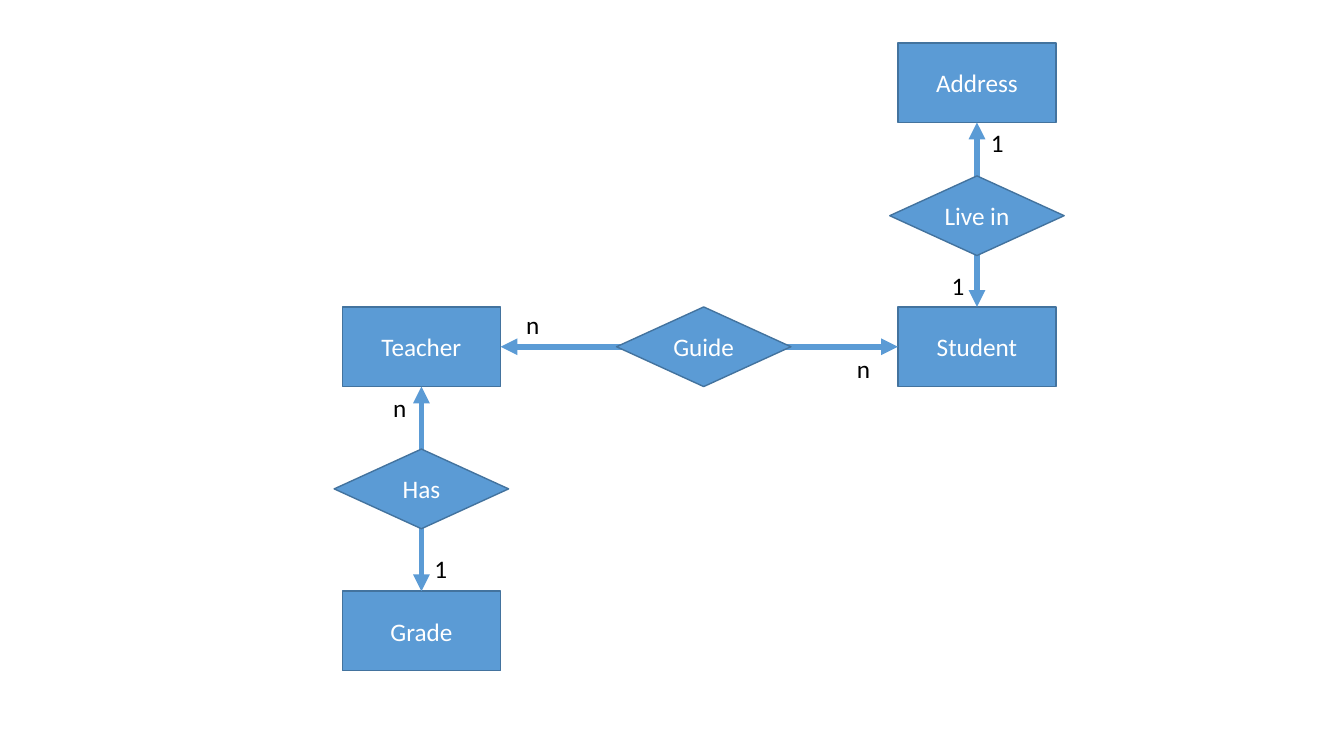
from lxml import etree
from pptx import Presentation
from pptx.dml.color import RGBColor
from pptx.enum.shapes import MSO_CONNECTOR, MSO_SHAPE
from pptx.enum.text import MSO_ANCHOR, MSO_AUTO_SIZE, PP_ALIGN
from pptx.oxml.ns import qn
from pptx.util import Inches, Pt

RECT, DIAMOND = MSO_SHAPE.RECTANGLE, MSO_SHAPE.FLOWCHART_DECISION
LINE = MSO_CONNECTOR.STRAIGHT
MIDDLE, CENTER, LEFT = MSO_ANCHOR.MIDDLE, PP_ALIGN.CENTER, PP_ALIGN.LEFT
GROW = MSO_AUTO_SIZE.SHAPE_TO_FIT_TEXT
TOP_SIDE, LEFT_SIDE, BOTTOM_SIDE, RIGHT_SIDE = range(4)

COLORS = {"fill": "5B9BD5", "edge": "43739E", "white": "FFFFFF", "black": "000000"}
TALL = 0.79
WIDE = {RECT: 1.57, DIAMOND: 1.73}

# Centres of the two columns and of the row they share
WEST, EAST, ROW = 4.18, 9.69, 3.44


class Diagram:
    def __init__(self, slide):
        self.shapes = slide.shapes

    def color(self, name):
        return RGBColor.from_string(COLORS[name])

    def set_text(self, shape, text, color, align):
        para = shape.text_frame.paragraphs[0]
        para.text = text
        para.alignment = align
        para.font.name = "Calibri"
        para.font.size = Pt(18)
        para.font.color.rgb = self.color(color)

    def node(self, kind, text, x, y):
        """Draw an entity or a relation centred on x, y."""
        wide = WIDE[kind]
        shape = self.shapes.add_shape(
            kind, Inches(x - wide / 2), Inches(y - TALL / 2), Inches(wide), Inches(TALL))
        shape.shadow.inherit = False
        shape.fill.solid()
        shape.fill.fore_color.rgb = self.color("fill")
        shape.line.color.rgb = self.color("edge")
        shape.line.width = Pt(1)
        shape.text_frame.vertical_anchor = MIDDLE
        self.set_text(shape, text, "white", CENTER)
        return shape

    def label(self, text, x, y, filled=False):
        box = self.shapes.add_textbox(Inches(x), Inches(y), Inches(0.33), Inches(0.4))
        box.text_frame.word_wrap = False
        box.text_frame.auto_size = GROW
        if filled:
            box.fill.solid()
            box.fill.fore_color.rgb = self.color("white")
        self.set_text(box, text, "black", LEFT)

    def link(self, start, side, end, other):
        """Join two entities with an arrow that points both ways."""
        arrow = self.shapes.add_connector(LINE, 0, 0, 0, 0)
        arrow.begin_connect(start, side)
        arrow.end_connect(end, other)
        arrow.line.color.rgb = self.color("fill")
        arrow.line.width = Pt(4)
        props = arrow.element.spPr
        line = props.find(qn("a:ln"))
        for tag in ("a:headEnd", "a:tailEnd"):
            etree.SubElement(line, qn(tag), type="triangle")
        etree.SubElement(props, qn("a:effectLst"))


def main():
    deck = Presentation()
    deck.slide_width, deck.slide_height = Inches(13.33), Inches(7.5)
    art = Diagram(deck.slides.add_slide(deck.slide_layouts[6]))

    art.label("1", 4.21, 5.44, filled=True)
    art.label("1", 9.73, 1.21)
    art.label("1", 9.34, 2.63, filled=True)

    student = art.node(RECT, "Student", EAST, ROW)
    address = art.node(RECT, "Address", EAST, 0.82)
    teacher = art.node(RECT, "Teacher", WEST, ROW)
    grade = art.node(RECT, "Grade", WEST, 6.26)

    art.link(teacher, RIGHT_SIDE, student, LEFT_SIDE)
    art.link(teacher, BOTTOM_SIDE, grade, TOP_SIDE)
    art.link(address, BOTTOM_SIDE, student, TOP_SIDE)

    art.node(DIAMOND, "Guide", 6.98, ROW)
    art.node(DIAMOND, "Has", WEST, 4.85)
    art.node(DIAMOND, "Live in", EAST, 2.14)

    for x, y in ((5.12, 3.02), (8.4, 3.46), (3.8, 3.84)):
        art.label("n", x, y)

    deck.save("out.pptx")


if __name__ == "__main__":
    main()
